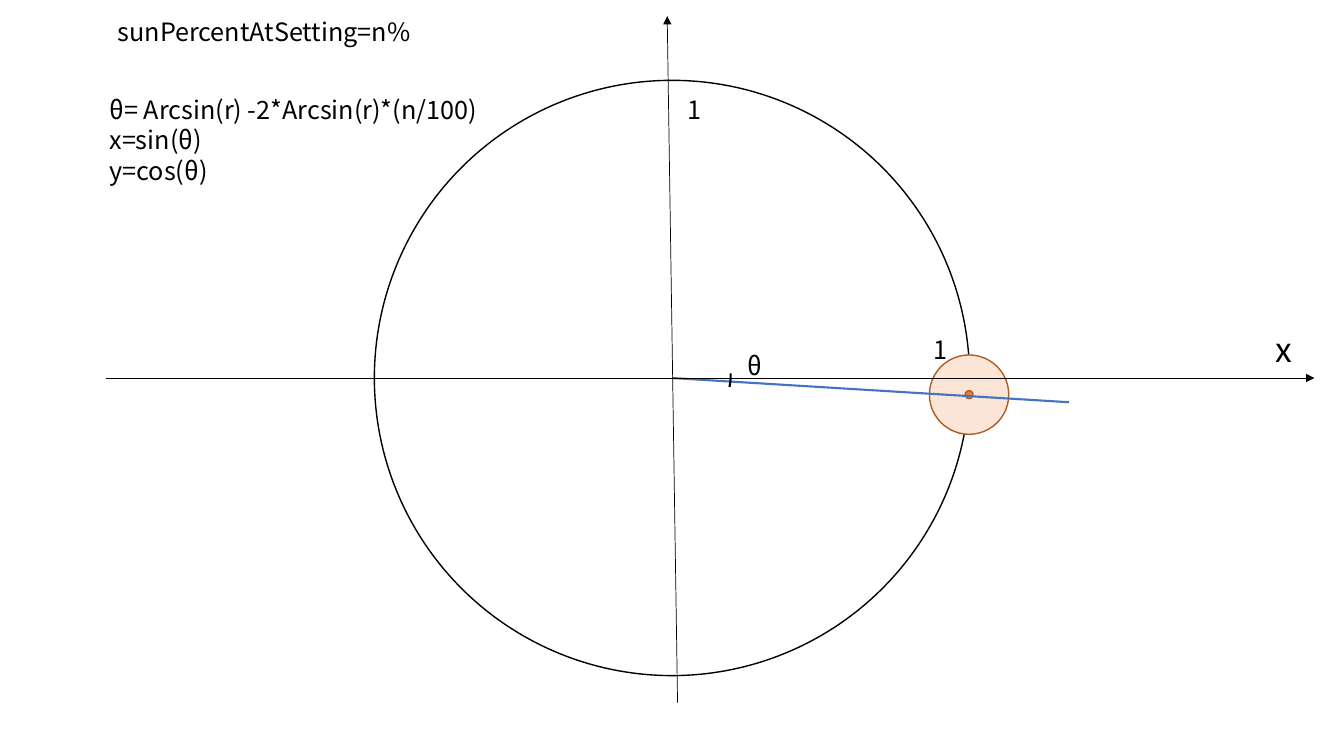
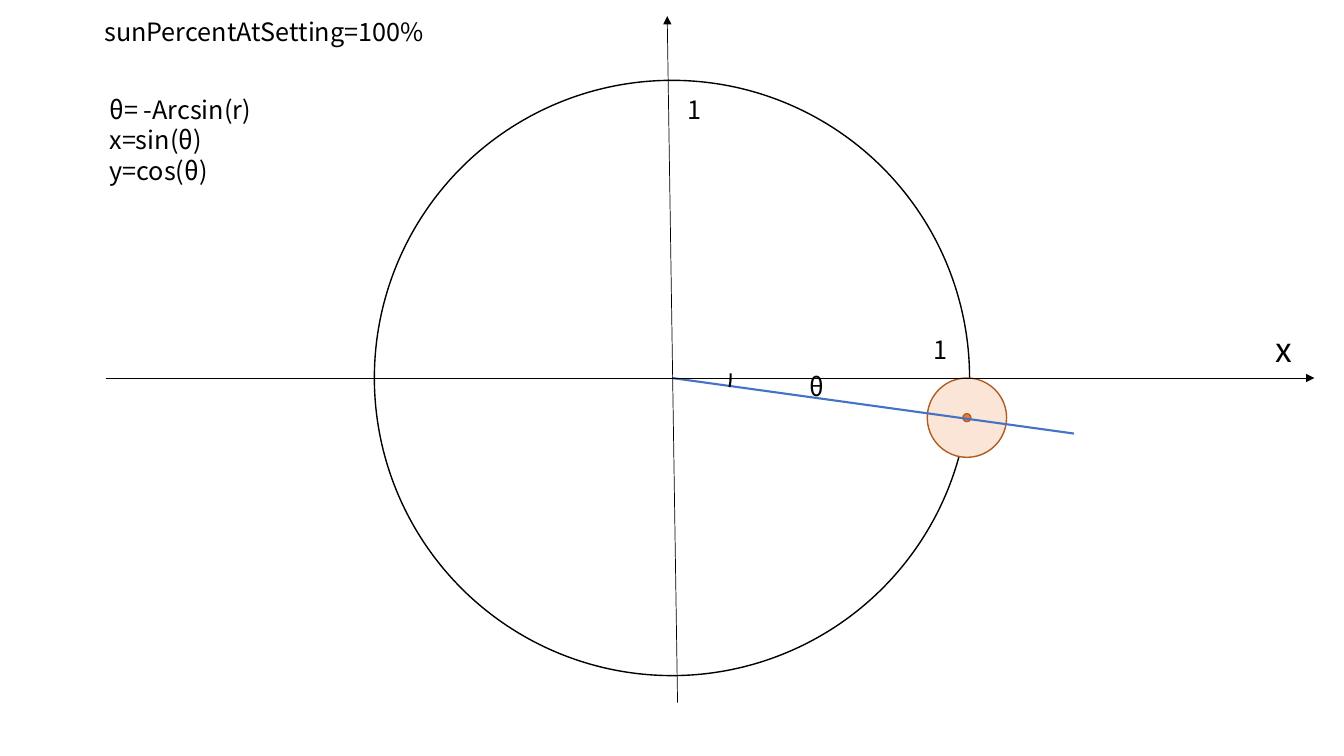
from math import sqrt

from lxml.etree import SubElement
from pptx import Presentation
from pptx.dml.color import RGBColor
from pptx.enum.shapes import MSO_CONNECTOR as LINE, MSO_SHAPE as SHAPE
from pptx.enum.text import MSO_ANCHOR as ANCHOR, MSO_AUTO_SIZE as FIT, PP_ALIGN as ALIGN
from pptx.oxml.ns import qn
from pptx.util import Cm, Pt

BLACK = RGBColor(0x00, 0x00, 0x00)
RAY_BLUE = RGBColor(0x44, 0x72, 0xC4)
SUN_FILL = RGBColor(0xFB, 0xE5, 0xD6)
SUN_EDGE = RGBColor(0xAF, 0x5C, 0x24)
SUN_CORE = RGBColor(0xED, 0x7D, 0x31)
FONT = "Noto Sans CJK JP"

# All lengths are in centimetres.
SLIDE_W, SLIDE_H = 33.87, 19.05
TITLE_BOX = (0.56, 0.28, 12.19, 1.02)
ORBIT_R, SUN_R, CORE_R = 7.5, 1, 0.1

# Per slide: title, angle formula, formula width, drop of the sun's centre,
# and offsets from the origin to the end of the ray and to the angle label.
SETTINGS = [
    ("sunPercentAtSetting=n%", "θ= Arcsin(r) -2*Arcsin(r)*(n/100)", 11.46,
     0.42, (10, 0.61), (1.66, -0.84)),
    ("sunPercentAtSetting=100%", "θ= -Arcsin(r)", 6.2,
     SUN_R, (10.13, 1.4), (3.21, -0.3)),
]


def write(frame, lines, size=18, align=ALIGN.LEFT):
    """Fill a text frame with one paragraph per line."""
    frame.word_wrap = True
    frame.auto_size = FIT.NONE
    frame.vertical_anchor = ANCHOR.TOP
    for index, line in enumerate(lines):
        paragraph = frame.add_paragraph() if index else frame.paragraphs[0]
        paragraph.alignment = align
        paragraph.line_spacing = Pt(round(size * 1.21, 1))
        run = paragraph.add_run()
        run.text = line
        run.font.name = FONT
        run.font.size = Pt(size)
        run.font.color.rgb = BLACK


def add_text(slide, box, lines, size=18):
    """Add a text box at box."""
    write(slide.shapes.add_textbox(*map(Cm, box)).text_frame, lines, size)


def add_outline(shapes, kind, box, color=BLACK, weight=1, fill=None):
    """Add a preset shape with an edge and an optional fill."""
    shape = shapes.add_shape(kind, *map(Cm, box))
    shape.shadow.inherit = False
    shape.line.color.rgb = color
    shape.line.width = Pt(weight)
    if fill is None:
        shape.fill.background()
    else:
        shape.fill.solid()
        shape.fill.fore_color.rgb = fill
    return shape


def add_circle(shapes, center, radius, **style):
    """Add a circle around center."""
    x, y = center
    add_outline(shapes, SHAPE.OVAL,
                (x - radius, y - radius, 2 * radius, 2 * radius), **style)


def add_line(slide, start, end, color=BLACK, weight=0.5, arrow=False):
    """Add a straight line, with an arrowhead at its end if asked."""
    line = slide.shapes.add_connector(LINE.STRAIGHT, *map(Cm, (*start, *end)))
    line.line.color.rgb = color
    line.line.width = Pt(weight)
    if arrow:
        SubElement(line.line._get_or_add_ln(), qn("a:tailEnd"), type="triangle")
    SubElement(line._element.spPr, qn("a:effectLst"))


def add_title(slide, box, text):
    """Place the title placeholder in box and fill it."""
    title = slide.shapes.title
    title.left, title.top, title.width, title.height = map(Cm, box)
    write(title.text_frame, [text], align=ALIGN.CENTER)


def add_sun(slide, center):
    """Add the sun's disc and core as one group."""
    sun = slide.shapes.add_group_shape()
    for radius, fill in ((SUN_R, SUN_FILL), (CORE_R, SUN_CORE)):
        add_circle(sun.shapes, center, radius, color=SUN_EDGE, fill=fill)


def add_unit_circle(slide, box, sun_drop, ray_end, theta_at):
    """Draw the unit circle, sun, ray and axes around the middle of box."""
    left, top, width, height = box
    origin_x, origin_y = left + width / 2, top + height / 2

    def at(dx, dy):
        """Return the point at an offset from the origin."""
        return origin_x + dx, origin_y + dy

    add_circle(slide.shapes, at(0, 0), ORBIT_R)
    add_sun(slide, at(sqrt(ORBIT_R ** 2 - sun_drop ** 2), sun_drop))
    add_line(slide, at(0, 0), at(*ray_end), RAY_BLUE, 1.5)
    add_line(slide, at(-14.27, 0), at(16.19, 0), arrow=True)
    add_line(slide, at(0.14, 8.18), at(-0.12, -9.12), arrow=True)

    angle_mark = add_outline(slide.shapes, SHAPE.ARC,
                             (*at(-1.57, -1.5), 3.05, 2.9), weight=1.5)
    angle_mark.adjustments[0] = 214.48
    angle_mark.adjustments[1] = 6.3

    add_text(slide, (*at(14.95, -1.37), 1.9, 1.27), ["x"], 24)
    for label, offset in (("1", (6.34, -1.22)), ("1", (0.14, -7.29)),
                          ("θ", theta_at)):
        add_text(slide, (*at(*offset), 1.5, 1.02), [label])


def add_setting_slide(deck, title, formula, formula_width, *geometry):
    """Add one slide that explains a sun setting."""
    slide = deck.slides.add_slide(deck.slide_layouts[5])
    add_title(slide, TITLE_BOX, title)
    add_unit_circle(slide, (0, 0, SLIDE_W, SLIDE_H), *geometry)
    add_text(slide, (2.51, 2.24, formula_width, 3.33),
             [formula, "x=sin(θ)", "y=cos(θ)"])


deck = Presentation()
deck.slide_width, deck.slide_height = Cm(SLIDE_W), Cm(SLIDE_H)
for setting in SETTINGS:
    add_setting_slide(deck, *setting)
deck.save("out.pptx")
